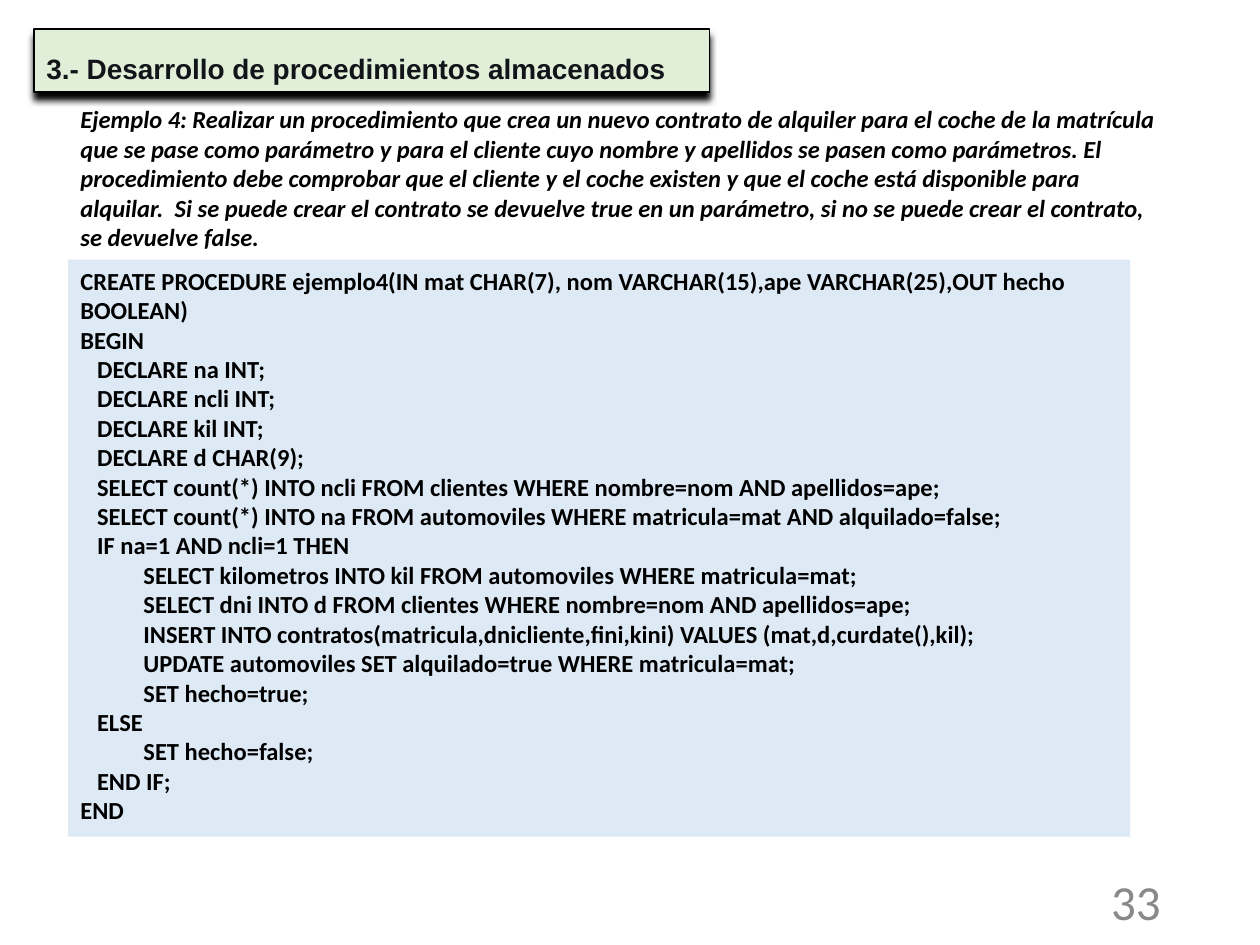
from lxml.etree import SubElement
from pptx import Presentation
from pptx.dml.color import RGBColor
from pptx.enum.shapes import MSO_SHAPE
from pptx.enum.text import MSO_ANCHOR, PP_ALIGN
from pptx.oxml.ns import qn
from pptx.util import Inches, Pt

BLACK = RGBColor(0x00, 0x00, 0x00)
TITLE_INK = RGBColor(0x11, 0x15, 0x1A)
TITLE_FILL = RGBColor(0xE1, 0xEF, 0xD8)
CODE_FILL = RGBColor(0xDD, 0xEA, 0xF6)
NUMBER_GREY = RGBColor(0x89, 0x89, 0x89)

# Boxes in inches: left, top, width, height
MARGIN = 0.54
TITLE_BOX = (0.27, 0.23, 5.36, 0.5)
TASK_BOX = (MARGIN, 0.78, 8.74, 1.28)
CODE_BOX = (MARGIN, 2.06, 8.43, 4.58)
NUMBER_BOX = (7.06, 6.95, 2.25, 0.4)

TITLE = "3.- Desarrollo de procedimientos almacenados"
TASK = (
    "Ejemplo 4: Realizar un procedimiento que crea un nuevo contrato de alquiler "
    "para el coche de la matrícula que se pase como parámetro y para el cliente "
    "cuyo nombre y apellidos se pasen como parámetros. El procedimiento debe "
    "comprobar que el cliente y el coche existen y que el coche está disponible "
    "para alquilar.  Si se puede crear el contrato se devuelve true en un "
    "parámetro, si no se puede crear el contrato, se devuelve false."
)
CODE = """\
CREATE PROCEDURE ejemplo4(IN mat CHAR(7), nom VARCHAR(15),ape VARCHAR(25),OUT hecho BOOLEAN)
BEGIN
   DECLARE na INT;
   DECLARE ncli INT;
   DECLARE kil INT;
   DECLARE d CHAR(9);
   SELECT count(*) INTO ncli FROM clientes WHERE nombre=nom AND apellidos=ape;
   SELECT count(*) INTO na FROM automoviles WHERE matricula=mat AND alquilado=false;
   IF na=1 AND ncli=1 THEN
\tSELECT kilometros INTO kil FROM automoviles WHERE matricula=mat;
    \tSELECT dni INTO d FROM clientes WHERE nombre=nom AND apellidos=ape;
    \tINSERT INTO contratos(matricula,dnicliente,fini,kini) VALUES (mat,d,curdate(),kil);
    \tUPDATE automoviles SET alquilado=true WHERE matricula=mat;
    \tSET hecho=true;
   ELSE
\tSET hecho=false;
   END IF;
END"""


def write(frame, text, size, color=BLACK, font="Calibri", bold=True, italic=False,
          align=PP_ALIGN.LEFT, anchor=MSO_ANCHOR.TOP):
    """Fill a text frame, one paragraph per line, in a single style."""
    frame.word_wrap = True
    frame.vertical_anchor = anchor
    frame.text = text
    for paragraph in frame.paragraphs:
        paragraph.alignment = align
        paragraph.font.name = font
        paragraph.font.size = Pt(size)
        paragraph.font.bold = bold
        paragraph.font.italic = italic
        paragraph.font.color.rgb = color


def add_panel(slide, box, fill):
    panel = slide.shapes.add_shape(MSO_SHAPE.RECTANGLE, *map(Inches, box))
    panel.shadow.inherit = False
    panel.fill.solid()
    panel.fill.fore_color.rgb = fill
    panel.line.fill.background()
    return panel


def add_text(slide, box, text, size, **style):
    write(slide.shapes.add_textbox(*map(Inches, box)).text_frame, text, size, **style)


def add_drop_shadow(panel):
    """Solid black shadow falling straight down."""
    effects = panel._element.spPr.find(qn("a:effectLst"))
    shadow = SubElement(effects, qn("a:outerShdw"), blurRad=str(Pt(4)),
                        dist=str(Pt(4)), dir=str(90 * 60000), rotWithShape="0")
    SubElement(shadow, qn("a:srgbClr"), val=str(BLACK))


def add_title(slide, box):
    banner = add_panel(slide, box, TITLE_FILL)
    banner.line.color.rgb = BLACK
    banner.line.width = Pt(0.75)
    add_drop_shadow(banner)
    write(banner.text_frame, TITLE, 16, TITLE_INK, "Arial")
    heading = banner.text_frame.paragraphs[0]
    heading.line_spacing = 1.5
    # Hanging indent
    properties = heading._p.get_or_add_pPr()
    properties.set("marL", str(Inches(0.5)))
    properties.set("indent", str(-Inches(0.5)))


def add_code(slide, box):
    write(add_panel(slide, box, CODE_FILL).text_frame, CODE, 14)


def main():
    deck = Presentation()
    deck.slide_width, deck.slide_height = Inches(10), Inches(7.5)
    slide = deck.slides.add_slide(deck.slide_layouts[6])

    add_title(slide, TITLE_BOX)
    # Page number
    add_text(slide, NUMBER_BOX, "33", 28, color=NUMBER_GREY, bold=False,
             align=PP_ALIGN.RIGHT, anchor=MSO_ANCHOR.MIDDLE)
    # Exercise statement and its solution
    add_text(slide, TASK_BOX, TASK, 14, italic=True)
    add_code(slide, CODE_BOX)

    deck.save("out.pptx")


if __name__ == "__main__":
    main()
